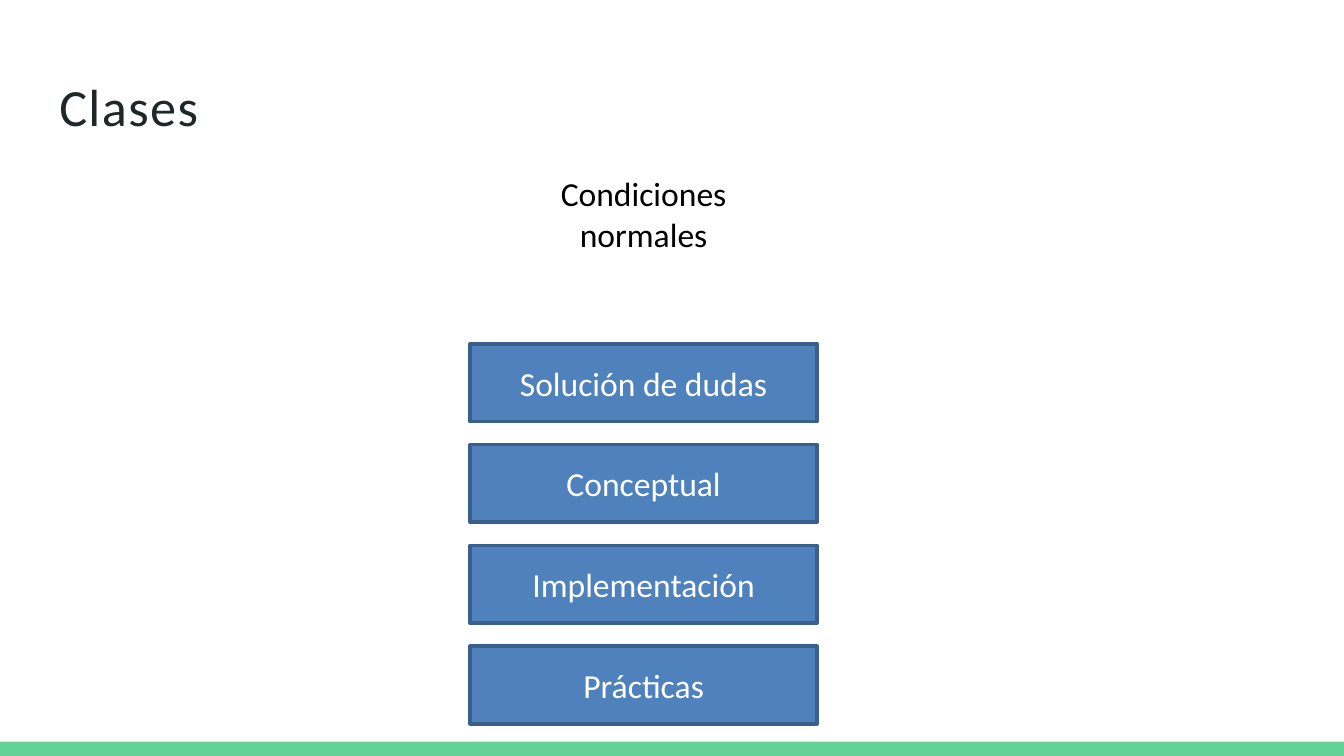
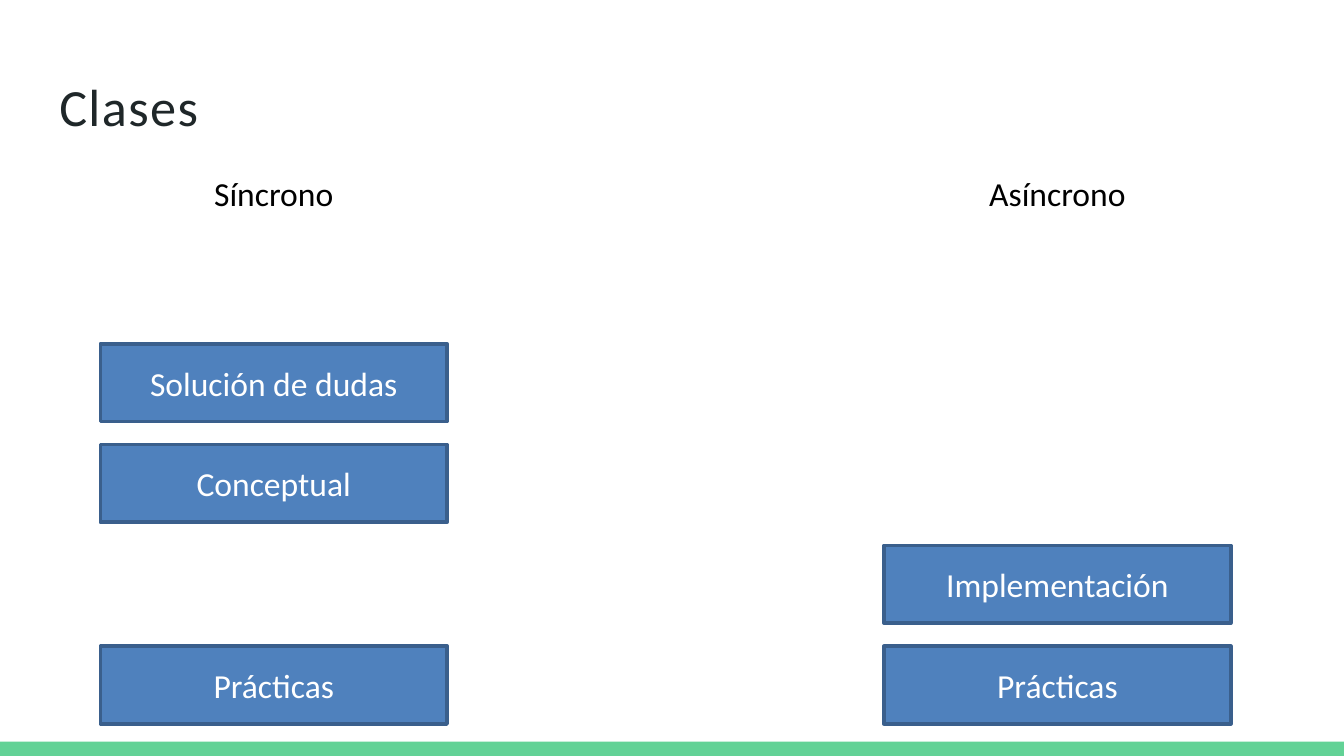
from pptx import Presentation
from pptx.dml.color import RGBColor
from pptx.enum.shapes import MSO_SHAPE
from pptx.enum.text import MSO_ANCHOR, MSO_AUTO_SIZE, PP_ALIGN
from pptx.util import Cm, Pt

RECTANGLE = MSO_SHAPE.RECTANGLE
TOP, MIDDLE = MSO_ANCHOR.TOP, MSO_ANCHOR.MIDDLE
LEFT, CENTER = PP_ALIGN.LEFT, PP_ALIGN.CENTER
GROW = MSO_AUTO_SIZE.SHAPE_TO_FIT_TEXT

GREEN = RGBColor(0x62, 0xD2, 0x96)
INK = RGBColor(0x1F, 0x27, 0x29)
BLUE = RGBColor(0x4F, 0x81, 0xBD)
DARK_BLUE = RGBColor(0x3A, 0x5F, 0x8C)
WHITE = RGBColor(0xFF, 0xFF, 0xFF)
BLACK = RGBColor(0x00, 0x00, 0x00)

FONT = "Calibri"
TITLE_ONLY = 5
SLIDE_WIDTH, SLIDE_HEIGHT = Cm(25.4), Cm(14.29)
BAND_HEIGHT = Cm(0.27)
STAGE_WIDTH, STAGE_HEIGHT = Cm(6.55), Cm(1.47)
FIRST_STAGE_TOP, STAGE_STEP = Cm(6.5), Cm(1.905)
HEADING_TOP, HEADING_INSET = Cm(3.15), Cm(0.2)

STAGES = ["Solución de dudas", "Conceptual", "Implementación", "Prácticas"]
CLASS_PLANS = [
    [("Condiciones normales", Cm(8.89), Cm(1.8), STAGES)],
    [
        ("Síncrono", Cm(1.9), Cm(1.02), ["Solución de dudas", "Conceptual", "Prácticas"]),
        ("Asíncrono", Cm(16.71), Cm(1.02), ["Implementación", "Prácticas"]),
    ],
]


def write(frame, text, size, color, align):
    frame.word_wrap = True
    paragraph = frame.paragraphs[0]
    paragraph.alignment = align
    run = paragraph.add_run()
    run.text = text
    run.font.name = FONT
    run.font.size = Pt(size)
    run.font.color.rgb = color
    return run


def add_box(slide, left, top, width, height, color):
    box = slide.shapes.add_shape(RECTANGLE, left, top, width, height)
    box.shadow.inherit = False
    box.fill.solid()
    box.fill.fore_color.rgb = color
    box.line.fill.background()
    return box


prs = Presentation()
prs.slide_width, prs.slide_height = SLIDE_WIDTH, SLIDE_HEIGHT

for plan in CLASS_PLANS:
    slide = prs.slides.add_slide(prs.slide_layouts[TITLE_ONLY])
    slide.background.fill.solid()
    slide.background.fill.fore_color.rgb = WHITE
    add_box(slide, 0, SLIDE_HEIGHT - BAND_HEIGHT, SLIDE_WIDTH, BAND_HEIGHT, GREEN)

    title = slide.shapes.title
    title.left, title.top, title.width, title.height = Cm(1.09), Cm(1.37), Cm(4.7), Cm(1.24)
    title_frame = title.text_frame
    title_frame.margin_left = title_frame.margin_right = title_frame.margin_bottom = 0
    title_frame.margin_top = Cm(0.03)
    title_frame.vertical_anchor = TOP
    title_frame.auto_size = GROW
    title_run = write(title_frame, "Clases", 28, INK, LEFT)
    title_run.font._element.set("spc", "80")
    title_frame.paragraphs[0]._p.get_or_add_pPr().set("marL", str(Cm(0.03)))

    for mode, left, heading_height, mode_stages in plan:
        heading = slide.shapes.add_textbox(
            left + HEADING_INSET, HEADING_TOP, STAGE_WIDTH - 2 * HEADING_INSET, heading_height
        )
        write(heading.text_frame, mode, 18, BLACK, CENTER)
        heading.text_frame.auto_size = GROW

        for row, stage in enumerate(STAGES):
            if stage in mode_stages:
                top = FIRST_STAGE_TOP + row * STAGE_STEP
                stage_box = add_box(slide, left, top, STAGE_WIDTH, STAGE_HEIGHT, BLUE)
                stage_box.line.color.rgb = DARK_BLUE
                stage_box.line.width = Pt(2)
                stage_box.text_frame.vertical_anchor = MIDDLE
                write(stage_box.text_frame, stage, 18, WHITE, CENTER)

prs.save("out.pptx")
